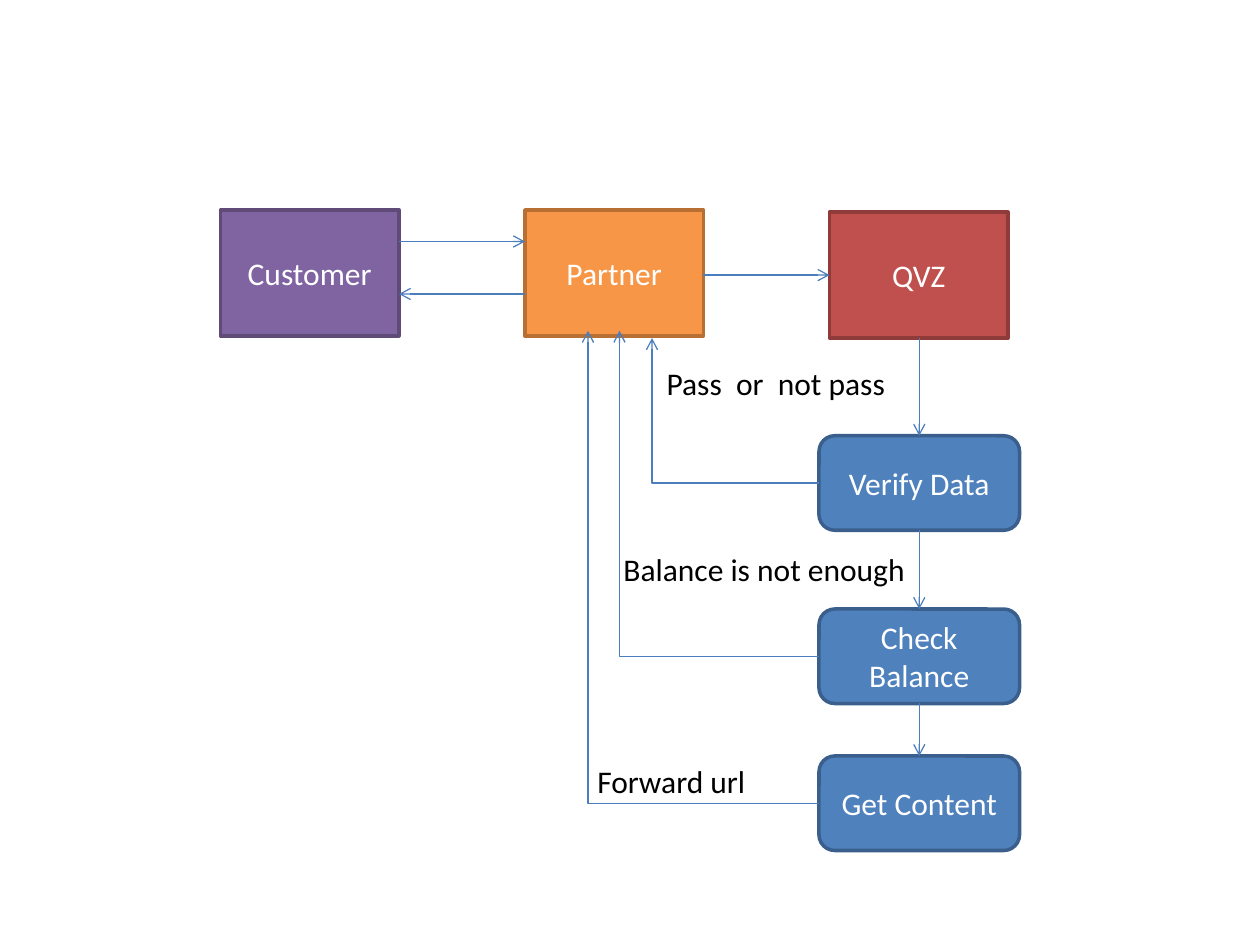
from dataclasses import dataclass
from itertools import pairwise
from lxml.etree import SubElement
from pptx import Presentation
from pptx.dml.color import RGBColor as Rgb
from pptx.enum.shapes import MSO_CONNECTOR as Link, MSO_SHAPE as Kind
from pptx.enum.text import MSO_ANCHOR as Anchor, MSO_AUTO_SIZE as Fit, PP_ALIGN as Align
from pptx.oxml.ns import qn
from pptx.util import Inches, Pt


@dataclass(frozen=True)
class Theme:
    """Colours and type sizes."""
    font: str = "Calibri"
    size: float = 18
    edge: float = 2
    wire: float = 0.75
    light: str = "FFFFFF"
    dark: str = "000000"
    link: str = "4B7EBC"
    purple: tuple = ("8064A2", "5F4A78")
    orange: tuple = ("F79646", "B76F34")
    red: tuple = ("C0504D", "8E3B39")
    blue: tuple = ("4F81BD", "3A5F8C")


@dataclass(frozen=True)
class Box:
    """A region in grid cells."""
    x: float
    y: float
    w: float
    h: float

    @property
    def right(self):
        return self.x + self.w

    @property
    def base(self):
        return self.y + self.h

    @property
    def midx(self):
        return self.x + self.w / 2

    @property
    def midy(self):
        return self.y + self.h / 2


THEME = Theme()
CELL = 1 / 12  # the slide is 120 columns by 90 rows


def grid(*cells):
    """Turn grid cells into lengths."""
    return [Inches(n * CELL) for n in cells]


def write(shape, text, color=THEME.light, align=Align.CENTER, anchor=Anchor.MIDDLE, wrap=True):
    """Put formatted text in a shape."""
    frame = shape.text_frame
    frame.word_wrap = wrap
    frame.vertical_anchor = anchor
    para = frame.paragraphs[0]
    para.alignment = align
    run = para.add_run()
    run.text = text
    run.font.name, run.font.size = THEME.font, Pt(THEME.size)
    run.font.color.rgb = Rgb.from_string(color)


def node(slide, box, text, tint, kind=Kind.RECTANGLE):
    """Draw a filled box with its name."""
    shape = slide.shapes.add_shape(kind, *grid(box.x, box.y, box.w, box.h))
    shape.shadow.inherit = False
    fill, edge = tint
    shape.fill.solid()
    shape.fill.fore_color.rgb = Rgb.from_string(fill)
    shape.line.color.rgb = Rgb.from_string(edge)
    shape.line.width = Pt(THEME.edge)
    write(shape, text)


def label(slide, box, text):
    """Place a note beside an arrow."""
    shape = slide.shapes.add_textbox(*grid(box.x, box.y, box.w, box.h))
    write(shape, text, THEME.dark, Align.LEFT, Anchor.TOP, wrap=False)
    shape.text_frame.auto_size = Fit.SHAPE_TO_FIT_TEXT


def arrow(slide, x1, y1, x2, y2, kind=Link.STRAIGHT):
    """Draw a line with an open head at its end."""
    line = slide.shapes.add_connector(kind, *grid(x1, y1, x2, y2))
    line.line.color.rgb = Rgb.from_string(THEME.link)
    line.line.width = Pt(THEME.wire)
    props = line._element.spPr
    SubElement(props.find(qn("a:ln")), qn("a:tailEnd"), type="arrow")
    SubElement(props, qn("a:effectLst"))
    return line


def bend(slide, x1, y1, x2, y2):
    """Draw an arrow that runs left, then turns up once."""
    props = arrow(slide, x1, y1, x2, y2, Link.ELBOW)._element.spPr
    props.find(qn("a:prstGeom")).set("prst", "bentConnector2")
    frame = props.find(qn("a:xfrm"))
    for flip in ("flipH", "flipV"):
        frame.attrib.pop(flip, None)
    frame.set("rot", str(180 * 60000))


def actors(slide, area):
    """Draw the three parties in a row and the arrows between them."""
    wide, pitch = 17, 29
    parts = (("Customer", THEME.purple, 0), ("Partner", THEME.orange, 0), ("QVZ", THEME.red, 0.2))
    boxes = [Box(area.x + i * pitch, area.y + drop, wide, area.h)
             for i, (_, _, drop) in enumerate(parts)]
    for box, (text, tint, _) in zip(boxes, parts):
        node(slide, box, text, tint)
    buyer, agent, host = boxes
    arrow(slide, buyer.right, area.y + 3, agent.x, area.y + 3)
    arrow(slide, agent.x, area.y + 8, buyer.right, area.y + 8)
    arrow(slide, agent.right, area.y + 6.2, host.x, area.y + 6.2)
    return agent, host


def steps(slide, area, agent, host):
    """Draw the checks in a column, with each reply to the partner."""
    parts = (("Verify Data", 0, 12.1, 0.2), ("Check Balance", 16.5, 9, -0.5),
             ("Get Content", 30.5, 6, -0.5))
    boxes = [Box(area.x, area.y + top, area.w, 9) for _, top, _, _ in parts]
    for box, (text, _, lane, gap) in zip(boxes, parts):
        node(slide, box, text, THEME.blue, Kind.ROUNDED_RECTANGLE)
        bend(slide, box.x, box.midy, agent.x + lane, agent.base + gap)
    for above, below in pairwise([host, *boxes]):
        arrow(slide, boxes[0].midx, above.base, below.midx, below.y)


def notes(slide, area):
    """Name the replies, placed from the corner of the area."""
    for text, x, y, wide in (("Pass  or  not pass", 6.6, 0, 23.4),
                             ("Balance is not enough", 2.5, 17.7, 29.5),
                             ("Forward url ", 0, 37.9, 17.4)):
        label(slide, Box(area.x + x, area.y + y, wide, 4.8), text)


def main():
    """Build the flow slide."""
    deck = Presentation()
    deck.slide_width, deck.slide_height = grid(120, 90)
    slide = deck.slides.add_slide(deck.slide_layouts[6])
    agent, host = actors(slide, Box(21, 20, 75, 12))
    steps(slide, Box(78, 41.5, 19.1, 39.5), agent, host)
    notes(slide, Box(55.7, 34.1, 32, 42.7))
    deck.save("out.pptx")


main()
